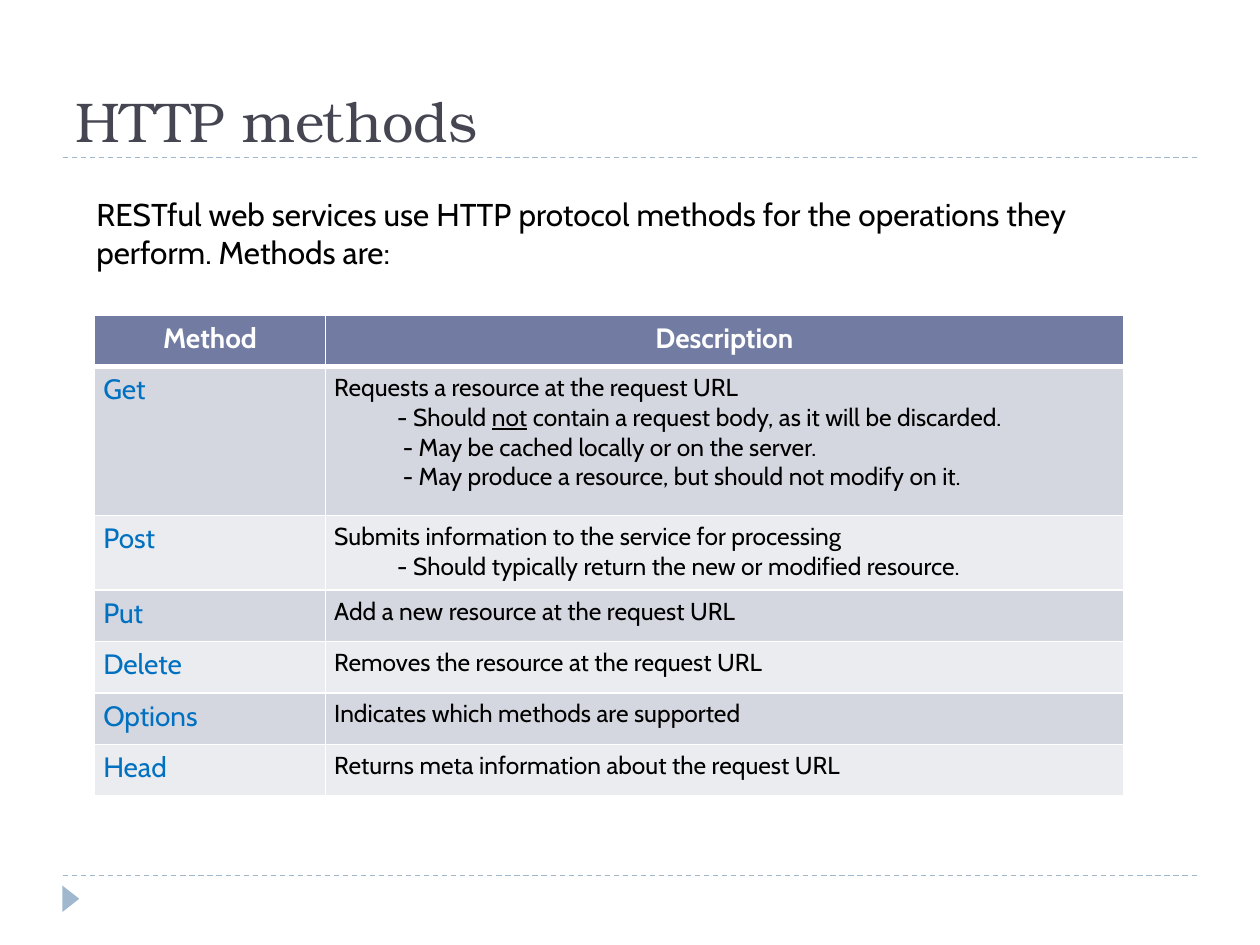
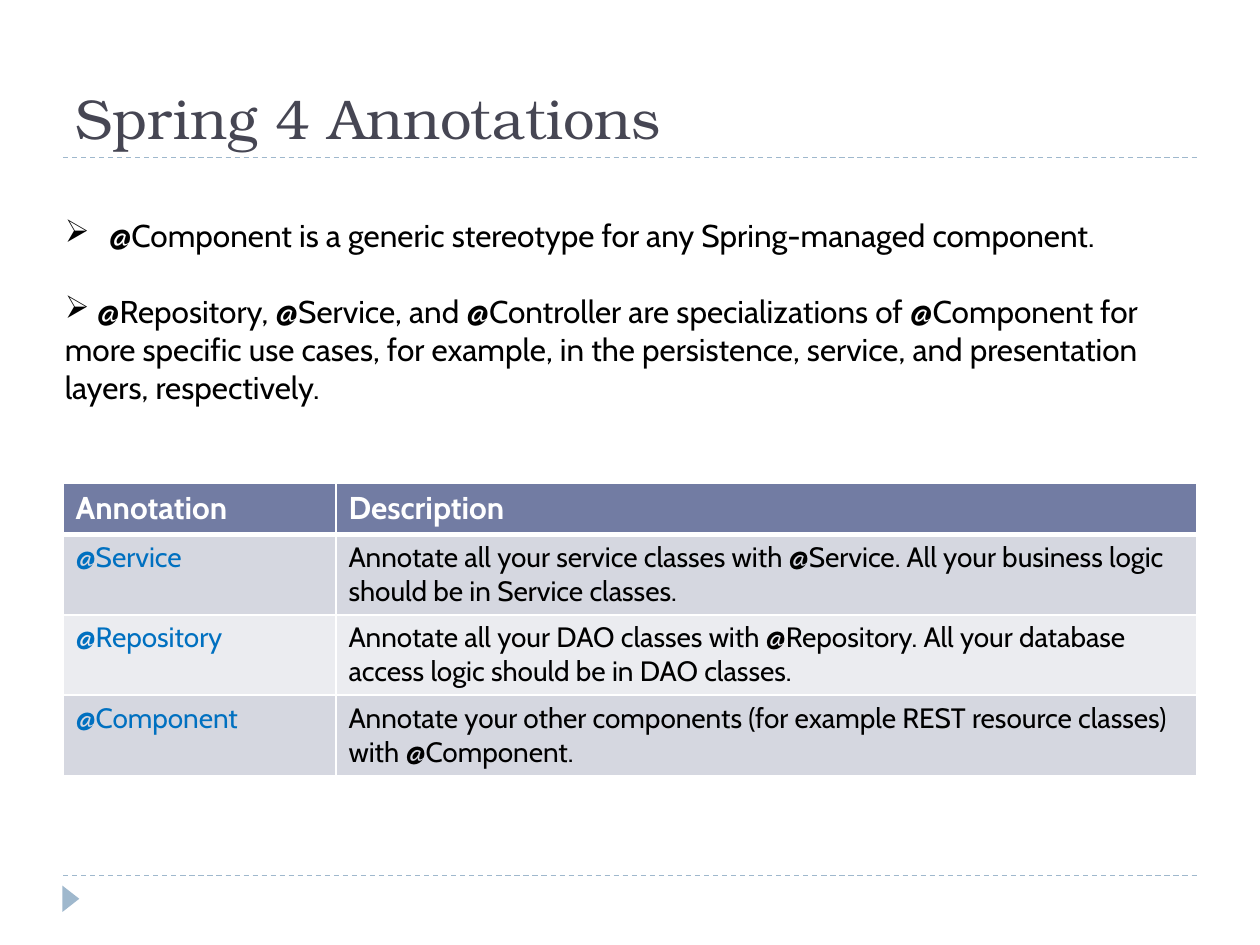
import dataclasses
import pptx
import pptx.util
import pptx.dml.color
import pptx.enum.dml
import pptx.enum.shapes
import pptx.enum.text
import pptx.oxml
import pptx.oxml.ns
import lxml.etree


@dataclasses.dataclass(frozen=True)
class Theme:
    head: str = "TeX Gyre Bonum"
    body: str = "Cabin"
    mono: str = "DejaVu Sans Mono"
    title: str = "464653"
    rule: str = "9FB8CD"
    bar: str = "727CA3"
    bands: tuple = ("D5D7E0", "EBECF0")
    key: str = "0070C0"
    ink: str = "000000"
    white: str = "FFFFFF"
    huge: int = 32
    large: int = 18
    mid: int = 16
    small: int = 14


THEME = Theme()
COLS, ROWS = 120, 90
WIDE, HIGH = pptx.util.Inches(10), pptx.util.Inches(7.5)
EDGE, SPAN = 6, 108

METHODS = (
    ("Method", "Description"),
    ("Get", "Requests a resource at the request URL\n"
            "- Should |not| contain a request body, as it will be discarded.\n"
            " - May be cached locally or on the server.\n"
            " - May produce a resource, but should not modify on it."),
    ("Post", "Submits information to the service for processing\n"
             "- Should typically return the new or modified resource."),
    ("Put", "Add a new resource at the request URL"),
    ("Delete", "Removes the resource at the request URL"),
    ("Options", "Indicates which methods are supported"),
    ("Head", "Returns meta information about the request URL"),
)
NOTES = (
    ("Annotation", "Description"),
    ("@Service", "Annotate all your service classes with @Service. "
                 "All your business logic should be in Service classes."),
    ("@Repository", "Annotate all your DAO classes with @Repository. "
                    "All your database access logic should be in DAO classes."),
    ("@Component", "Annotate your other components (for example REST "
                   "resource classes) with @Component."),
)
INTRO = ("RESTful web services use HTTP protocol methods for the operations "
         "they perform. Methods are:")
POINTS = (" |@Component is a generic stereotype for any Spring-managed "
          "component.\n"
          " @Repository, @Service, and @Controller are specializations of "
          "@Component for more specific use cases, for example, in the "
          "persistence, service, and presentation layers, respectively.")


def across(cols):
    return round(WIDE * cols / COLS)


def down(rows):
    return round(HIGH * rows / ROWS)


def place(left, top, width, height):
    return across(left), down(top), across(width), down(height)


def tint(code):
    return pptx.dml.color.RGBColor.from_string(code)


def dress(font, name, size, color, bold=False):
    font.name = name
    font.size = pptx.util.Pt(size)
    font.color.rgb = tint(color)
    font.bold = bold


def write(frame, text, size, color, bold=False):
    lines = text.split("\n")
    frame.text = "\n" * (len(lines) - 1)
    for para, line in zip(frame.paragraphs, lines):
        if line.lstrip().startswith("-"):
            para.level = 1
            props = para._p.get_or_add_pPr()
            props.set("marL", str(across(6)))
            props.set("indent", "0")
        for part in line.split("|"):
            run = para.add_run()
            run.text = part
            dress(run.font, THEME.body, size, color, bold)


def draw_rule(slide, row):
    line = slide.shapes.add_connector(
        pptx.enum.shapes.MSO_CONNECTOR.STRAIGHT,
        across(EDGE), down(row), across(EDGE + SPAN), down(row))
    line.line.color.rgb = tint(THEME.rule)
    line.line.width = pptx.util.Pt(0.75)
    line.line.dash_style = pptx.enum.dml.MSO_LINE.DASH
    lxml.etree.SubElement(line._element.spPr,
                          pptx.oxml.ns.qn("a:effectLst"))


def draw_frame(slide):
    for row in (83.4, 15):
        draw_rule(slide, row)
    mark = slide.shapes.add_shape(
        pptx.enum.shapes.MSO_SHAPE.ISOSCELES_TRIANGLE,
        *place(5.5, 84.8, 2.5, 1.6))
    mark.rotation = 90
    mark.shadow.inherit = False
    mark.fill.solid()
    mark.fill.fore_color.rgb = tint(THEME.rule)
    mark.line.fill.background()


def start(deck, text, top, height):
    slide = deck.slides.add_slide(deck.slide_layouts[5])
    draw_frame(slide)
    title = slide.shapes.title
    title.left, title.top, title.width, title.height = place(
        EDGE, top, SPAN, height)
    frame = title.text_frame
    frame.text = text
    frame.auto_size = pptx.enum.text.MSO_AUTO_SIZE.NONE
    frame.vertical_anchor = pptx.enum.text.MSO_ANCHOR.BOTTOM
    para = frame.paragraphs[0]
    para.alignment = pptx.enum.text.PP_ALIGN.LEFT
    dress(para.runs[0].font, THEME.head, THEME.huge, THEME.title)
    return slide


def add_text(slide, text, *area):
    box = slide.shapes.add_textbox(*place(*area))
    frame = box.text_frame
    frame.word_wrap = True
    frame.auto_size = pptx.enum.text.MSO_AUTO_SIZE.SHAPE_TO_FIT_TEXT
    write(frame, text, THEME.large, THEME.ink)
    return frame


def add_marks(frame):
    for para in frame.paragraphs:
        props = para._p.get_or_add_pPr()
        props.set("marL", "0")
        props.set("indent", "0")
        mark = lxml.etree.SubElement(props, pptx.oxml.ns.qn("a:buChar"))
        mark.set("char", "\u27a2")


def edge(cell, row):
    props = cell._tc.get_or_add_tcPr()
    widths = {"L": 1, "R": 1, "T": 3 if row == 1 else 1,
              "B": 3 if row == 0 else 1}
    space = pptx.oxml.ns.nsdecls("a")
    for spot, (side, width) in enumerate(widths.items()):
        props.insert(spot, pptx.oxml.parse_xml(
            f'<a:ln{side} {space} w="{pptx.util.Pt(width)}"><a:solidFill>'
            f'<a:srgbClr val="{THEME.white}"/></a:solidFill></a:ln{side}>'))


def add_grid(slide, data, left, top, cols, rows, sizes, inset):
    grid = slide.shapes.add_table(
        len(rows), len(cols),
        *place(left, top, sum(cols), sum(rows))).table
    for col, width in zip(grid.columns, cols):
        col.width = across(width)
    for row, height in zip(grid.rows, rows):
        row.height = down(height)
    for row, texts in enumerate(data):
        for col, text in enumerate(texts):
            cell = grid.cell(row, col)
            cell.margin_left = cell.margin_right = pptx.util.Inches(inset)
            cell.fill.solid()
            if row == 0:
                fill, size, color = THEME.bar, sizes[0], THEME.white
            else:
                fill = THEME.bands[(row - 1) % 2]
                size = sizes[col + 1]
                color = (THEME.key, THEME.ink)[col]
            cell.fill.fore_color.rgb = tint(fill)
            write(cell.text_frame, text, size, color, row == 0)
            edge(cell, row)
    return grid


def show_methods(deck):
    slide = start(deck, "HTTP methods", 5, 10.2)
    grid = add_grid(slide, METHODS, 9, 30, (22, 76),
                    (4.9, 14.2, 7.1) + (4.9,) * 4,
                    (THEME.mid, THEME.mid, THEME.small), 0.07)
    for cell in grid.rows[0].cells:
        para = cell.text_frame.paragraphs[0]
        para.alignment = pptx.enum.text.PP_ALIGN.CENTER
    para = grid.cell(1, 1).text_frame.paragraphs[1]
    para.runs[1].font.underline = True
    add_text(slide, INTRO, 8, 18, 96, 8.5)


def show_notes(deck):
    slide = start(deck, "Spring 4 Annotations", 2, 13)
    add_grid(slide, NOTES, EDGE, 46, (26, 82), (4.9,) + (7.6,) * 3,
             (THEME.large, THEME.mid, THEME.mid), 0.1)
    frame = add_text(slide, POINTS, 5, 20, 107, 19.4)
    add_marks(frame)
    first, last = frame.paragraphs
    first.runs[0].font.name = THEME.mono
    last.space_before = pptx.util.Pt(22)


def main():
    deck = pptx.Presentation()
    deck.slide_width, deck.slide_height = WIDE, HIGH
    show_methods(deck)
    show_notes(deck)
    deck.save("out.pptx")


main()
